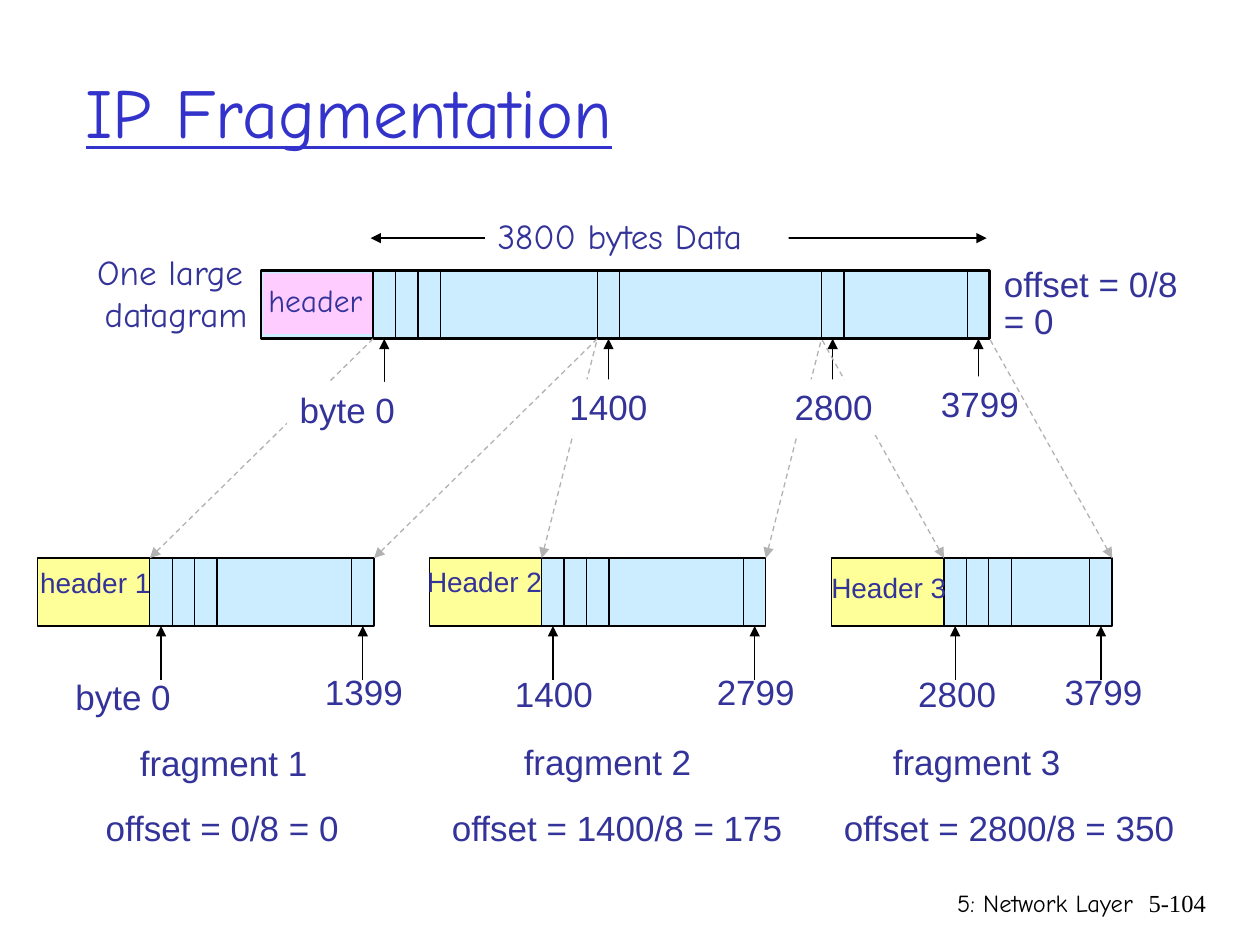
"""Build the IP Fragmentation slide."""
import lxml.etree
import pptx
import pptx.dml.color
import pptx.enum.dml
import pptx.enum.shapes
import pptx.enum.text
import pptx.oxml.ns
import pptx.util

Cm = pptx.util.Cm
Pt = pptx.util.Pt
RGBColor = pptx.dml.color.RGBColor
PP_ALIGN = pptx.enum.text.PP_ALIGN
qn = pptx.oxml.ns.qn

TITLE = RGBColor(0x33, 0x33, 0xCC)
INK = RGBColor(0x33, 0x33, 0x99)
BLACK = RGBColor(0, 0, 0)
WHITE = RGBColor(0xFF, 0xFF, 0xFF)
GREY = RGBColor(0xB2, 0xB2, 0xB2)
DATA = RGBColor(0xCC, 0xEC, 0xFF)
PINK = RGBColor(0xFF, 0xCC, 0xFF)
YELLOW = RGBColor(0xFF, 0xFF, 0x99)

SANS, HAND, SERIF = "Arial", "Comic Neue", "Times New Roman"
CELL = 0.452
BAR_H = 1.37
HEADER_CELLS = 5
TOP_X, TOP_Y, TOP_CELLS = 7.52, 5.46, 27.5
FRAG_Y = 11.25
ARROW = 1.09

# data left, cells, first and last cell in the datagram
FRAGMENTS = [(3.02, 10, 0, 10), (10.92, 10, 10, 20), (19.03, 7.5, 20, 27.5)]

LABELS = [
    ("offset = 0/8 = 0", 1.88, 16.13, 5.94),
    ("offset = 1400/8 = 175", 8.86, 16.13, 7.9),
    ("offset = 2800/8 = 350", 16.76, 16.13, 8.13),
    ("fragment 1", 2.57, 14.83, 4.14),
    ("fragment 2", 10.31, 14.81, 4.27),
    ("fragment 3", 17.75, 14.81, 4.27),
    ("byte 0", 1.27, 13.49, 2.69),
    ("1399", 6.3, 13.39, 2.13),
    ("1400", 10.13, 13.44, 2.13),
    ("2799", 14.2, 13.39, 2.26),
    ("2800", 18.26, 13.44, 2.26),
    ("3799", 21.21, 13.39, 2.26),
]
HEADERS = [("header 1", 0.56, 11.28, 2.79), ("Header 2", 8.36, 11.25, 3),
           ("Header 3", 16.51, 11.38, 3)]
BYTE_MARKS = [("byte 0", 5.79, 7.7, 2.69), ("1400", 11.23, 7.65, 2.13),
              ("2800", 15.77, 7.65, 2.26)]


def add_run(p, text, size, font, color):
    """Add one formatted run to a paragraph."""
    r = p.add_run()
    r.text = text
    r.font.size = Pt(size)
    r.font.name = font
    r.font.color.rgb = color
    return r


def add_text(s, text, x, y, w, h=1.12, size=20, font=SANS, color=INK,
             align=PP_ALIGN.LEFT, fill=None, wrap=False, spacing=None):
    """Add a text box with one paragraph per line of text."""
    sp = s.shapes.add_textbox(Cm(x), Cm(y), Cm(w), Cm(h))
    if fill is not None:
        sp.fill.solid()
        sp.fill.fore_color.rgb = fill
    tf = sp.text_frame
    tf.word_wrap = wrap
    if not wrap:
        tf.auto_size = pptx.enum.text.MSO_AUTO_SIZE.SHAPE_TO_FIT_TEXT
    for i, line in enumerate(text.split("\n")):
        p = tf.add_paragraph() if i else tf.paragraphs[0]
        p.alignment = align
        if i and spacing:
            p.line_spacing = spacing
        add_run(p, line, size, font, color)


def add_rect(s, x, y, w, h, fill, width=0.75):
    """Add a filled rectangle, outlined when a width is given."""
    kind = pptx.enum.shapes.MSO_SHAPE.RECTANGLE
    sp = s.shapes.add_shape(kind, Cm(x), Cm(y), Cm(w), Cm(h))
    sp.shadow.inherit = False
    sp.fill.solid()
    sp.fill.fore_color.rgb = fill
    if width:
        sp.line.color.rgb = BLACK
        sp.line.width = Pt(width)
    else:
        sp.line.fill.background()


def add_line(s, x1, y1, x2, y2, color=BLACK, dashed=False, ends=()):
    """Add a straight line with arrowheads at the named ends."""
    kind = pptx.enum.shapes.MSO_CONNECTOR.STRAIGHT
    c = s.shapes.add_connector(kind, Cm(x1), Cm(y1), Cm(x2), Cm(y2))
    c.line.color.rgb = color
    c.line.width = Pt(0.75)
    if dashed:
        c.line.dash_style = pptx.enum.dml.MSO_LINE.DASH
    ln = c.line._get_or_add_ln()
    for end in ends:
        lxml.etree.SubElement(ln, qn(f"a:{end}"), type="triangle")
    lxml.etree.SubElement(c._element.spPr, qn("a:effectLst"))


def add_dividers(s, x, y, cells):
    """Draw cell borders across a bar at the given cell numbers."""
    for n in cells:
        add_line(s, x + n * CELL, y, x + n * CELL, y + BAR_H)


def add_pointers(s, x, y, cells):
    """Draw arrows up to the middle of the given cells of a bar."""
    for n in cells:
        mid = x + (n + 0.5) * CELL
        add_line(s, mid, y + BAR_H + ARROW, mid, y + BAR_H, ends=["tailEnd"])


def add_datagram(s):
    """Draw the large datagram with its header, cells and pointers."""
    head = HEADER_CELLS * CELL
    add_rect(s, TOP_X - head, TOP_Y, head + TOP_CELLS * CELL, BAR_H, DATA, 1.5)
    add_rect(s, TOP_X - head + 0.05, TOP_Y + 0.05, head - 0.07, BAR_H - 0.15,
             PINK, 0)
    add_dividers(s, TOP_X, TOP_Y, [0, 1, 2, 3, 10, 11, 20, 21, TOP_CELLS - 1])
    add_pointers(s, TOP_X, TOP_Y, [0, 10, 20, TOP_CELLS - 1])
    add_text(s, "header", 5.16, 5.54, 2.59, 1.02, size=18, font=HAND)
    add_text(s, "One large \ndatagram", 1.57, 4.93, 3.96, 1.96, font=HAND,
             align=PP_ALIGN.CENTER)
    add_text(s, "offset = 0/8\n= 0", 19.99, 5.16, 4.72, 1.88, spacing=0.9)
    add_line(s, 7.47, 4.8, 19.89, 4.8, ends=["headEnd", "tailEnd"])
    add_text(s, "3800 bytes Data", 9.78, 4.19, 6.12, font=HAND, fill=WHITE)


def add_fragment(s, x, cells, first, last):
    """Draw a fragment and the dashed lines from its part of the datagram."""
    head = HEADER_CELLS * CELL
    add_rect(s, x, FRAG_Y, cells * CELL, BAR_H, DATA)
    add_rect(s, x - head, FRAG_Y, head, BAR_H, YELLOW)
    add_dividers(s, x, FRAG_Y, [1, 2, 3, cells - 1])
    add_pointers(s, x, FRAG_Y, [0, cells - 1])
    for end, source in ((0, first), (cells, last)):
        add_line(s, x + end * CELL, FRAG_Y, TOP_X + source * CELL,
                 TOP_Y + BAR_H, GREY, True, ["headEnd"])


def add_title(s, text):
    """Place and format the title placeholder."""
    sp = s.shapes.title
    sp.left, sp.top, sp.width, sp.height = Cm(1.47), Cm(0.64), Cm(21.59), Cm(3.18)
    tf = sp.text_frame
    tf.vertical_anchor = pptx.enum.text.MSO_ANCHOR.MIDDLE
    p = tf.paragraphs[0]
    p.alignment = PP_ALIGN.LEFT
    add_run(p, text, 40, HAND, TITLE).font.underline = True


def main():
    """Build and save the slide."""
    prs = pptx.Presentation()
    prs.slide_width, prs.slide_height = Cm(25.4), Cm(19.05)
    s = prs.slides.add_slide(prs.slide_layouts[5])
    add_title(s, "IP Fragmentation")
    add_datagram(s)
    add_text(s, "3799", 18.72, 7.59, 2.26, fill=WHITE)
    for fragment in FRAGMENTS:
        add_fragment(s, *fragment)
    for mark in BYTE_MARKS:
        add_text(s, *mark, fill=WHITE)
    for header in HEADERS:
        add_text(s, *header, h=0.94, size=16)
    for label in LABELS:
        add_text(s, *label)
    footer = dict(h=1.27, size=14, color=BLACK, align=PP_ALIGN.RIGHT, wrap=True)
    add_text(s, "5: Network Layer", 15.04, 17.78, 8.05, font=HAND, **footer)
    add_text(s, "5-104", 22.68, 17.78, 1.88, font=SERIF, **footer)
    prs.save("out.pptx")


if __name__ == "__main__":
    main()
